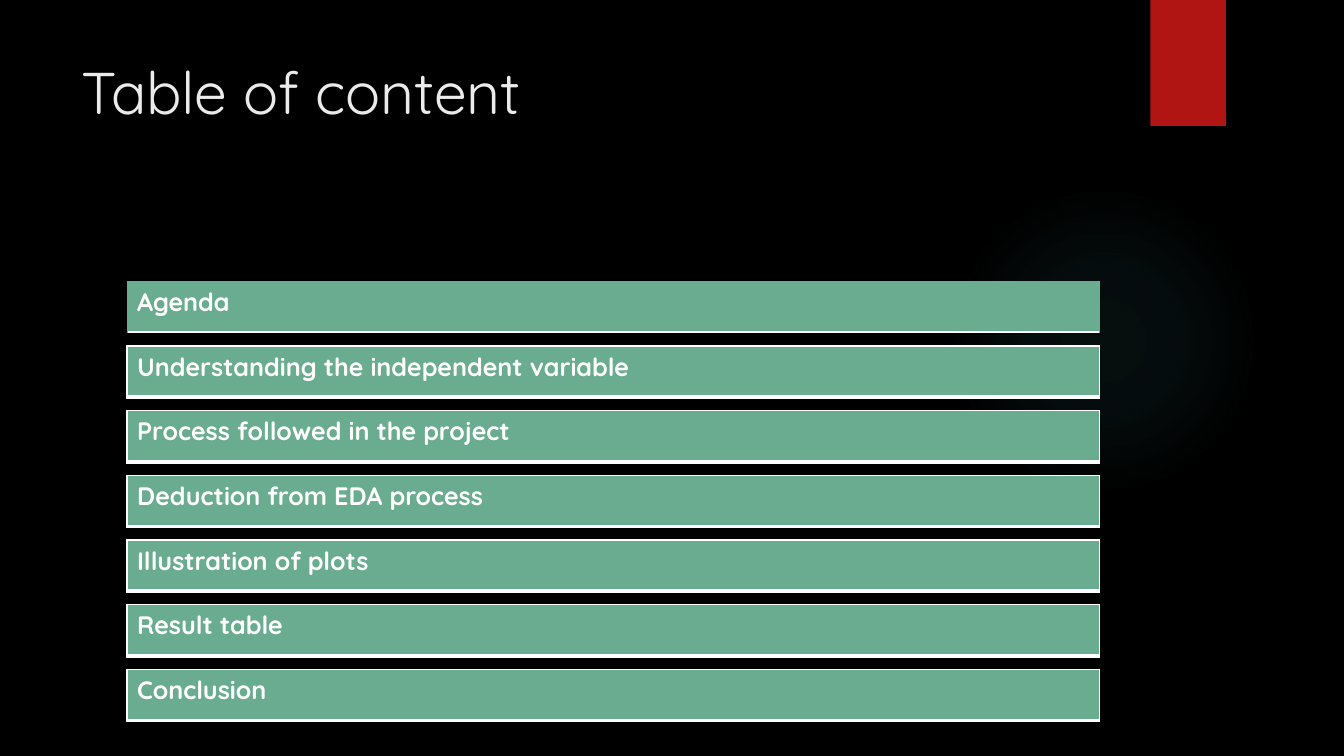
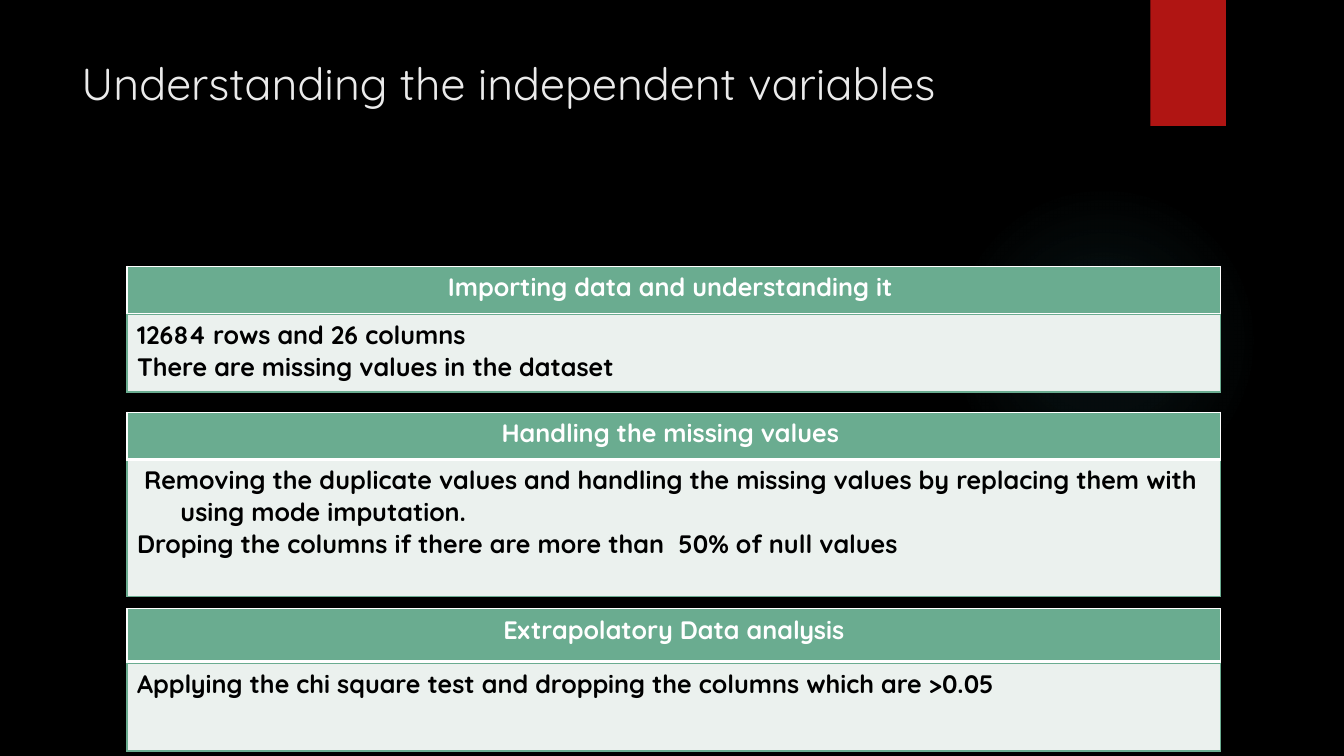
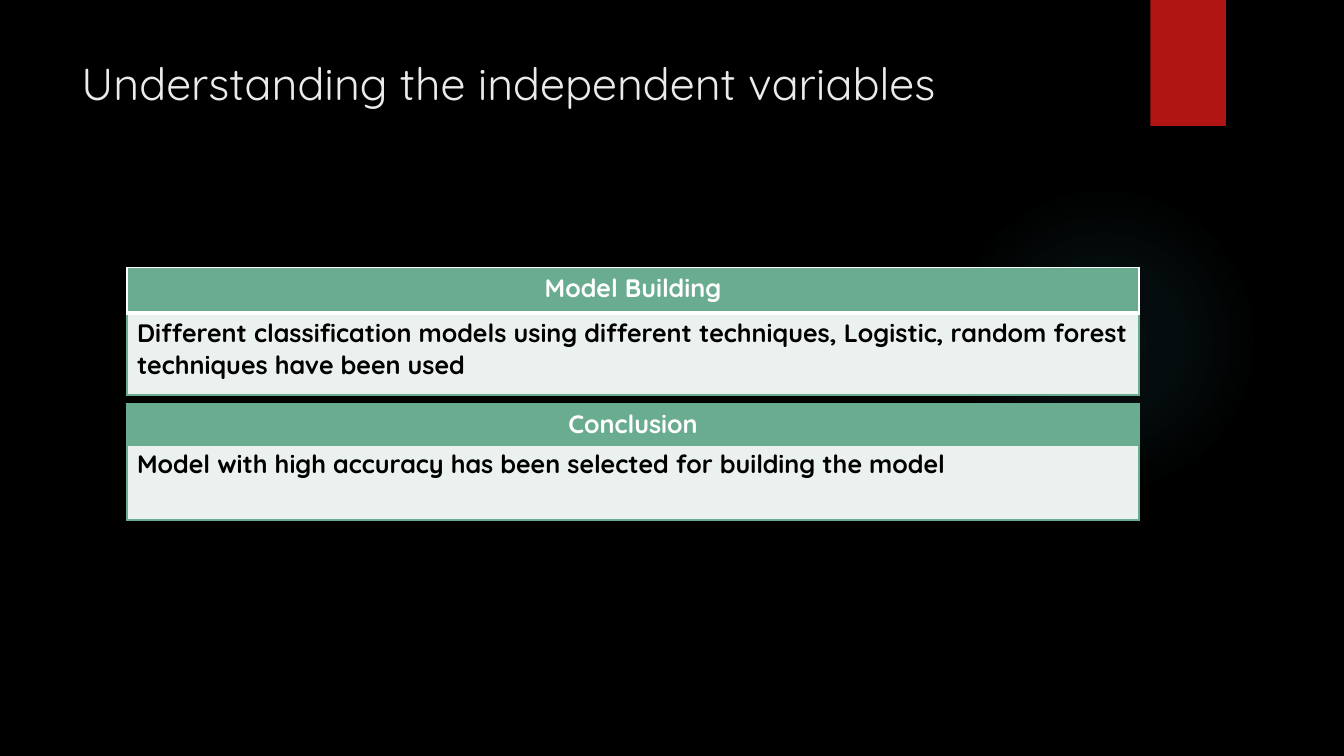
from lxml import etree
from pptx import Presentation
from pptx.dml.color import RGBColor
from pptx.enum import shapes, text
from pptx.oxml import parse_xml
from pptx.util import Pt

BLACK = RGBColor(0x00, 0x00, 0x00)
WHITE = RGBColor(0xFF, 0xFF, 0xFF)
PALE = RGBColor(0xEB, 0xEB, 0xEB)
MINT = RGBColor(0xEB, 0xF1, 0xEE)
GREEN = RGBColor(0x6A, 0xAC, 0x90)
RED = RGBColor(0xB0, 0x15, 0x13)
TEAL = RGBColor(0x50, 0xB9, 0xC1)
FONT = "Quicksand"
NS = "http://schemas.openxmlformats.org/drawingml/2006/main"
LEFT = 90.7

GLOW = f'<a:gradFill xmlns:a="{NS}" rotWithShape="1"><a:gsLst>' + "".join(
    f'<a:gs pos="{pos}000"><a:srgbClr val="{TEAL}"><a:alpha val="{alpha}000"/></a:srgbClr></a:gs>'
    for pos, alpha in [(0, 7), (36, 6), (69, 0)]
) + ('</a:gsLst><a:path path="circle"><a:fillToRect l="50000" t="50000" r="50000" b="50000"/>'
     '</a:path></a:gradFill>')

WIRE = [(GREEN, 1)] * 4
HEAD = (GREEN, WHITE, text.PP_ALIGN.CENTER, [(WHITE, 1)] * 3 + [(WHITE, 3)])
FLAT = (GREEN, WHITE, text.PP_ALIGN.CENTER, WIRE)
BODY = (MINT, BLACK, text.PP_ALIGN.LEFT, WIRE)
ITEM = (GREEN, WHITE, text.PP_ALIGN.LEFT, HEAD[3])
FIRST = (GREEN, WHITE, text.PP_ALIGN.LEFT, [(GREEN, 0.75)] * 3 + [(WHITE, 1.5)])


def style(par, size, color, bold):
    for run in par.runs:
        run.font.name = FONT
        run.font.size = Pt(size)
        run.font.bold = bold
        run.font.color.rgb = color


def add_box(slide, top, width, height, words, look):
    fill, ink, align, edges = look
    table = slide.shapes.add_table(1, 1, Pt(LEFT), Pt(top), Pt(width), Pt(height)).table
    table.first_row = False
    table.horz_banding = False
    cell = table.cell(0, 0)
    cell.fill.solid()
    cell.fill.fore_color.rgb = fill
    props = cell._tc.get_or_add_tcPr()
    for spot, (side, (color, weight)) in enumerate(zip("LRTB", edges)):
        line = etree.fromstring(
            f'<a:ln{side} xmlns:a="{NS}" w="{int(Pt(weight))}"><a:solidFill>'
            f'<a:srgbClr val="{color}"/></a:solidFill></a:ln{side}>')
        props.insert(spot, line)
    cell.text_frame.text = words
    for par in cell.text_frame.paragraphs:
        par.alignment = align
        style(par, 18, ink, True)
    return cell


items = ["Agenda", "Understanding the independent variable",
         "Process followed in the project", "Deduction from EDA process",
         "Illustration of plots", "Result table", "Conclusion"]
agenda = [(200.9 + 46.2 * i, 36.5, item, ITEM if i else FIRST)
          for i, item in enumerate(items)]

steps = [
    (190.1, 34.6, "Importing data and understanding it ", HEAD),
    (224.6, 55.4, "12684 rows and 26 columns\nThere are missing values in the dataset", BODY),
    (328.3, 97.5, "Removing the duplicate values and handling the missing values by replacing "
     "them with using mode imputation.\n"
     "Droping the columns if there are more than  50% of null values", BODY),
    (294.5, 33.8, "Handling the missing values ", HEAD),
    (434.9, 38.2, "Extrapolatory Data analysis", HEAD),
    (473.8, 62.6, "Applying the chi square test and dropping the columns which are >0.05", BODY),
]

models = [
    (223.2, 59, "Different classification models using different techniques, Logistic, "
     "random forest techniques have been used", BODY),
    (191.2, 32.4, "Model Building", HEAD),
    (316.8, 54.7, "Model with high accuracy has been selected for building the model", BODY),
    (288, 30, "Conclusion", FLAT),
]

topic = "Understanding the independent variables"
pages = [("Table of content", 42, 694.8, agenda),
         (topic, 32, 781.2, steps),
         (topic, 32, 722.9, models)]

prs = Presentation()
prs.slide_width = Pt(960)
prs.slide_height = Pt(540)
back = prs.slide_master.background.fill
back.solid()
back.fore_color.rgb = BLACK

for title, size, width, boxes in pages:
    slide = prs.slides.add_slide(prs.slide_layouts[6])

    glow = slide.shapes.add_shape(shapes.MSO_SHAPE.OVAL, Pt(677.5), Pt(131.8), Pt(221.8), Pt(221.8))
    glow.shadow.inherit = False
    glow.line.fill.background()
    glow._element.spPr.find(f"{{{NS}}}prstGeom").addnext(parse_xml(GLOW))

    flag = slide.shapes.add_shape(shapes.MSO_SHAPE.RECTANGLE, Pt(821.7), Pt(0), Pt(54), Pt(90))
    flag.shadow.inherit = False
    flag.line.fill.background()
    flag.fill.solid()
    flag.fill.fore_color.rgb = RED

    frame = slide.shapes.add_textbox(Pt(51.1), Pt(36), Pt(740.9), Pt(110.2)).text_frame
    frame.word_wrap = True
    frame.text = title
    style(frame.paragraphs[0], size, PALE, False)

    for top, height, words, look in boxes:
        cell = add_box(slide, top, width, height, words, look)
        if words.startswith("Removing"):
            hang = cell.text_frame.paragraphs[0]._p.get_or_add_pPr()
            hang.set("marL", str(int(Pt(31))))
            hang.set("indent", str(int(Pt(-26))))

prs.save("out.pptx")
